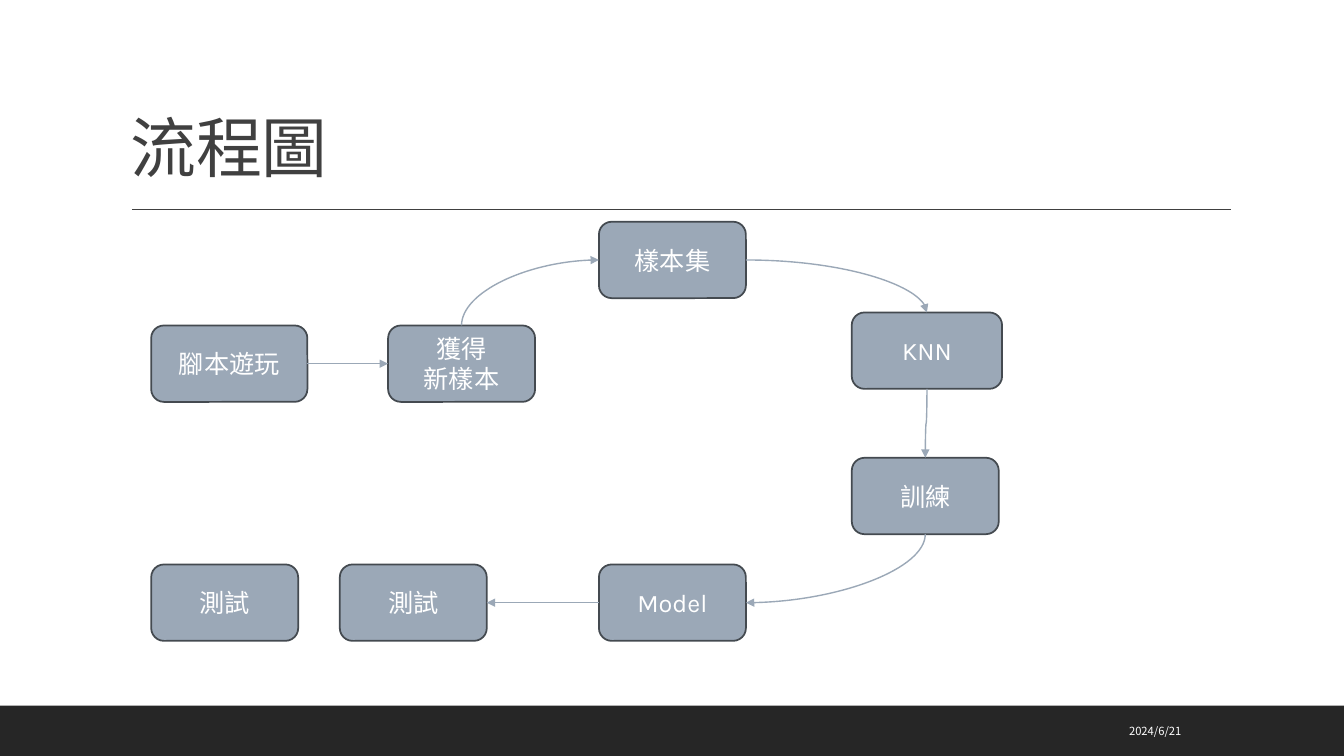
from lxml import etree
from pptx import Presentation
from pptx.dml.color import RGBColor
from pptx.enum.shapes import MSO_CONNECTOR, MSO_SHAPE
from pptx.enum.text import MSO_ANCHOR, PP_ALIGN
from pptx.oxml.ns import qn
from pptx.util import Inches, Pt

WHITE = RGBColor(0xFF, 0xFF, 0xFF)
BLACK = RGBColor(0x26, 0x26, 0x26)
GRAY = RGBColor(0x40, 0x40, 0x40)
BLUE = RGBColor(0x9B, 0xA8, 0xB7)
EDGE = RGBColor(0x44, 0x4A, 0x50)

RECT, ROUNDED = MSO_SHAPE.RECTANGLE, MSO_SHAPE.ROUNDED_RECTANGLE
STRAIGHT, CURVE = MSO_CONNECTOR.STRAIGHT, MSO_CONNECTOR.CURVE
LEFT, CENTER, RIGHT = PP_ALIGN.LEFT, PP_ALIGN.CENTER, PP_ALIGN.RIGHT
MIDDLE, BOTTOM = MSO_ANCHOR.MIDDLE, MSO_ANCHOR.BOTTOM

# Connection sites of a box
TOP_SIDE, LEFT_SIDE, BOTTOM_SIDE, RIGHT_SIDE = range(4)
UPRIGHT = (TOP_SIDE, BOTTOM_SIDE)


class Deck:
    """Style and current slide; lengths are in a 32 x 18 grid."""
    COLS, ROWS = 32, 18
    LATIN, CJK = "Karla", "Noto Sans CJK TC"

    def __init__(self):
        self.prs = Presentation()
        self.prs.slide_width, self.prs.slide_height = Inches(13.33), Inches(7.5)
        self.s = self.prs.slides.add_slide(self.prs.slide_layouts[6])

    def grid(self, *lengths):
        units = (self.prs.slide_width / self.COLS, self.prs.slide_height / self.ROWS)
        return [round(v * units[i % 2]) for i, v in enumerate(lengths)]

    def set_text(self, sp, text, size, font, color, align, anchor):
        tf = sp.text_frame
        tf.word_wrap = True
        tf.vertical_anchor = anchor
        tf.text = text
        for p in tf.paragraphs:
            p.alignment = align
            p.font.size, p.font.name = Pt(size), font
            p.font.color.rgb = color
            ea = etree.SubElement(p.font._element, qn("a:ea"))
            ea.set("typeface", self.CJK)
        return tf.paragraphs[0]

    def text(self, text, x, y, w, h, size, color, align, anchor):
        sp = self.s.shapes.add_textbox(*self.grid(x, y, w, h))
        return self.set_text(sp, text, size, self.CJK, color, align, anchor)

    def shape(self, kind, x, y, w, h, fill):
        sp = self.s.shapes.add_shape(kind, *self.grid(x, y, w, h))
        sp.shadow.inherit = False
        sp.fill.solid()
        sp.fill.fore_color.rgb = fill
        sp.line.fill.background()
        return sp

    def box(self, text, x, y, w=3.5, h=1.82):
        sp = self.shape(ROUNDED, x, y, w, h, BLUE)
        sp.line.color.rgb, sp.line.width = EDGE, Pt(1.25)
        self.set_text(sp, text, 18, self.LATIN, WHITE, CENTER, MIDDLE)
        return sp

    def line(self, kind, x1, y1, x2, y2, color):
        cxn = self.s.shapes.add_connector(kind, x1, y1, x2, y2)
        cxn.line.color.rgb, cxn.line.width = color, Pt(1)
        etree.SubElement(cxn._element.spPr, qn("a:effectLst"))
        return cxn

    def arrow(self, start, start_side, end, end_side):
        cxn = self.line(CURVE, 0, 0, 0, 0, BLUE)
        cxn.begin_connect(start, start_side)
        cxn.end_connect(end, end_side)
        spPr = cxn._element.spPr
        tail = etree.SubElement(spPr.find(qn("a:ln")), qn("a:tailEnd"))
        tail.set("type", "triangle")

        # A curve that leaves upward or downward is a sideways one turned by 90°
        dx, dy = cxn.end_x - cxn.begin_x, cxn.end_y - cxn.begin_y
        mid_x, mid_y = cxn.begin_x + dx // 2, cxn.begin_y + dy // 2
        turned = start_side in UPRIGHT
        along, across = (dy, -dx) if turned else (dx, dy)
        cxn.width, cxn.height = abs(along), abs(across)
        cxn.left, cxn.top = mid_x - cxn.width // 2, mid_y - cxn.height // 2
        xfrm = spPr.find(qn("a:xfrm"))
        xfrm.set("rot", "5400000" if turned else "0")
        xfrm.set("flipH", str(int(along < 0)))
        xfrm.set("flipV", str(int(across < 0)))
        if turned != (end_side in UPRIGHT):
            spPr.find(qn("a:prstGeom")).set("prst", "curvedConnector2")


def main():
    deck = Deck()

    # Footer bar, heading rule, title and date
    deck.shape(RECT, 0, 16.8, 32, 1.2, BLACK)
    deck.line(STRAIGHT, *deck.grid(3.14, 4.99, 29.3, 4.99), GRAY)
    title = deck.text("流程圖", 2.88, 0.74, 26.4, 3.82, 47, GRAY, LEFT, BOTTOM)
    title.line_spacing = 0.9
    title.font._element.set("spc", "-50")
    deck.text("2024/6/21", 21.58, 16.92, 6.79, 0.96, 8, WHITE, RIGHT, MIDDLE)

    # Steps of the flow
    script = deck.box("腳本遊玩", 3.6, 7.75, w=3.72)
    sample = deck.box("獲得\n新樣本", 9.24, 7.75)
    samples = deck.box("樣本集", 14.26, 5.28)
    knn = deck.box("KNN", 20.28, 7.44, w=3.58)
    training = deck.box("訓練", 20.28, 10.9)
    model = deck.box("Model", 14.26, 13.44)
    test = deck.box("測試", 8.09, 13.44)
    deck.box("測試", 3.6, 13.44)

    # Arrows between the steps
    for link in (
        (script, RIGHT_SIDE, sample, LEFT_SIDE),
        (sample, TOP_SIDE, samples, LEFT_SIDE),
        (samples, RIGHT_SIDE, knn, TOP_SIDE),
        (knn, BOTTOM_SIDE, training, TOP_SIDE),
        (training, BOTTOM_SIDE, model, RIGHT_SIDE),
        (model, LEFT_SIDE, test, RIGHT_SIDE),
    ):
        deck.arrow(*link)

    deck.prs.save("out.pptx")


if __name__ == "__main__":
    main()
